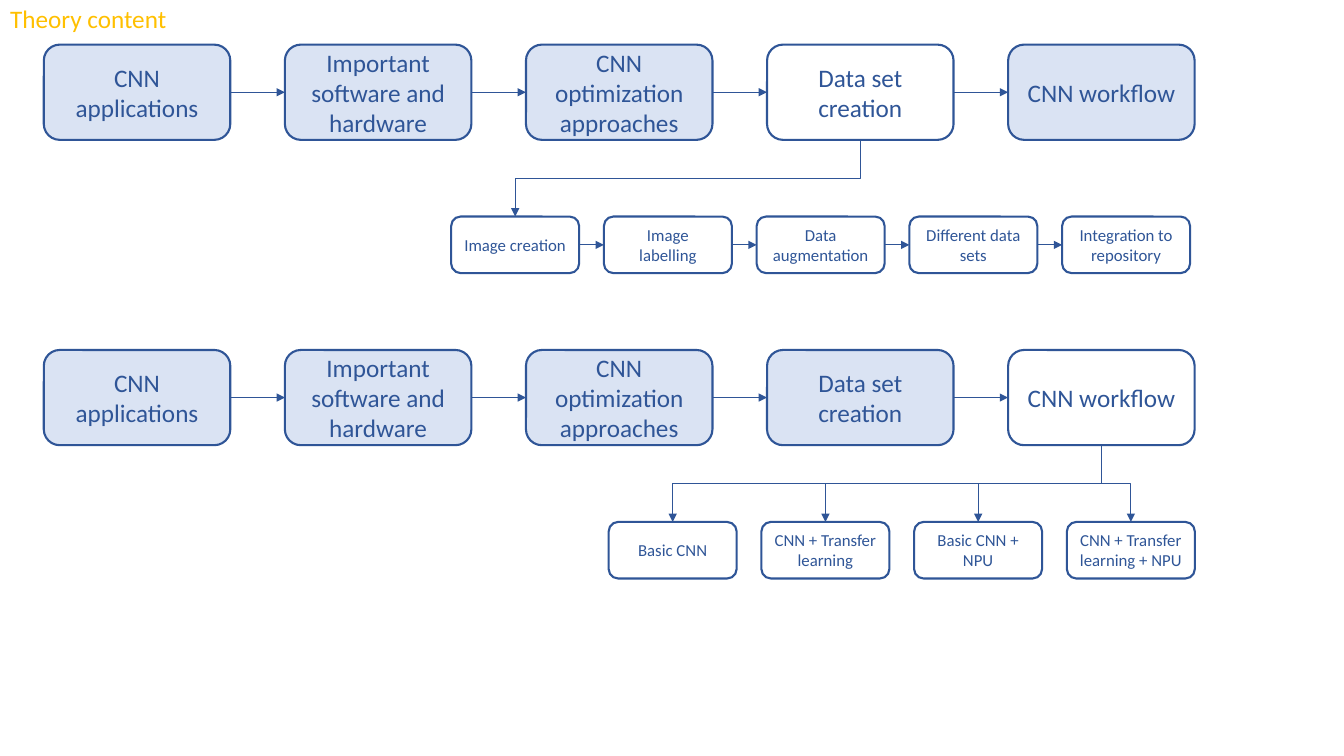
from dataclasses import dataclass
from typing import Optional

from lxml import etree
from pptx import Presentation
from pptx import util as u
from pptx.dml.color import RGBColor
from pptx.enum import shapes, text
from pptx.oxml import ns

Pt = u.Pt


@dataclass(frozen=True)
class Theme:
    font: str = "Calibri"
    blue: str = "2F5597"
    pale: str = "DAE3F3"
    white: str = "FFFFFF"
    gold: str = "FFC000"
    large: float = 18
    small: float = 12
    border: float = 1.5
    arrow: float = 0.75


@dataclass(frozen=True)
class Row:
    """Evenly spaced boxes; all lengths in points."""
    labels: tuple
    left: float
    top: float
    pitch: float
    width: float
    height: float
    size: float
    fills: tuple
    linked: bool = True


THEME = Theme()
TOP, LEFT, BOTTOM, RIGHT = range(4)  # connection sites of a box

TOPICS = ("CNN applications", "Important software and hardware",
          "CNN optimization approaches", "Data set creation", "CNN workflow")
DATA_STEPS = ("Image creation", "Image labelling", "Data augmentation",
              "Different data sets", "Integration to repository")
WORKFLOWS = ("Basic CNN", "CNN + Transfer learning", "Basic CNN + NPU",
             "CNN + Transfer learning + NPU")


def topic_row(top: float, current: int, current_fill: Optional[str]) -> Row:
    fills = tuple(current_fill if i == current else THEME.pale
                  for i in range(len(TOPICS)))
    return Row(TOPICS, 31.3, top, 172.2, 133.2, 68, THEME.large, fills)


def step_row(labels: tuple, left: float, top: float, linked: bool) -> Row:
    return Row(labels, left, top, 109.1, 91.4, 40.4, THEME.small,
               (None,) * len(labels), linked)


def format_text(frame, words: str, size: float, color: str, align, frame_format: dict) -> None:
    for name, value in frame_format.items():
        setattr(frame, name, value)
    paragraph = frame.paragraphs[0]
    paragraph.alignment = align
    run = paragraph.add_run()
    run.text = words
    for name, value in {"name": THEME.font, "size": Pt(size)}.items():
        setattr(run.font, name, value)
    run.font.color.rgb = RGBColor.from_string(color)


def add_box(slide, label: str, row: Row, index: int):
    box = slide.shapes.add_shape(
        shapes.MSO_SHAPE.ROUNDED_RECTANGLE, Pt(row.left + index * row.pitch),
        Pt(row.top), Pt(row.width), Pt(row.height))
    box.shadow.inherit = False
    if row.fills[index]:
        box.fill.solid()
        box.fill.fore_color.rgb = RGBColor.from_string(row.fills[index])
    else:
        box.fill.background()
    box.line.color.rgb = RGBColor.from_string(THEME.blue)
    box.line.width = Pt(THEME.border)
    format_text(box.text_frame, label, row.size, THEME.blue, text.PP_ALIGN.CENTER,
                {"word_wrap": True, "vertical_anchor": text.MSO_ANCHOR.MIDDLE})
    return box


def add_arrow(slide, kind, source, source_site: int, target, target_site: int):
    arrow = slide.shapes.add_connector(kind, 0, 0, 0, 0)
    arrow.begin_connect(source, source_site)
    arrow.end_connect(target, target_site)
    arrow.line.color.rgb = RGBColor.from_string(THEME.blue)
    arrow.line.width = Pt(THEME.arrow)
    properties = arrow._element.spPr
    head = etree.SubElement(properties.find(ns.qn("a:ln")), ns.qn("a:tailEnd"))
    head.set("type", "triangle")
    etree.SubElement(properties, ns.qn("a:effectLst"))
    return arrow


def add_branch(slide, parent, child) -> None:
    """Elbow that leaves the parent downwards and enters the child from above."""
    branch = add_arrow(slide, shapes.MSO_CONNECTOR.ELBOW, parent, BOTTOM, child, TOP)
    start_x, start_y = parent.left + parent.width // 2, parent.top + parent.height
    end_x, end_y = child.left + child.width // 2, child.top
    drop, shift = end_y - start_y, abs(end_x - start_x)
    # The frame is turned a quarter, so its width is the drop
    frame = {"left": (start_x + end_x - drop) // 2,
             "top": (start_y + end_y - shift) // 2,
             "width": drop, "height": shift}
    for name, value in frame.items():
        setattr(branch, name, value)
    transform = branch._element.spPr.find(ns.qn("a:xfrm"))
    for flip in ("flipH", "flipV"):
        transform.attrib.pop(flip, None)
    if end_x > start_x:
        transform.set("rot", "16200000")
        transform.set("flipH", "1")
    else:
        transform.set("rot", "5400000")


def draw_row(slide, row: Row) -> list:
    boxes = [add_box(slide, label, row, i) for i, label in enumerate(row.labels)]
    if row.linked:
        for before, after in zip(boxes, boxes[1:]):
            add_arrow(slide, shapes.MSO_CONNECTOR.STRAIGHT, before, RIGHT, after, LEFT)
    return boxes


def add_title(slide) -> None:
    heading = slide.shapes.title
    frame = {"left": 0, "top": -1.4, "width": 127.4, "height": 29}
    for name, value in frame.items():
        setattr(heading, name, Pt(value))
    format_text(heading.text_frame, "Theory content", THEME.large, THEME.gold,
                text.PP_ALIGN.LEFT,
                {"word_wrap": False, "vertical_anchor": text.MSO_ANCHOR.TOP,
                 "auto_size": text.MSO_AUTO_SIZE.SHAPE_TO_FIT_TEXT})


def main() -> None:
    deck = Presentation()
    deck.slide_width, deck.slide_height = Pt(960), Pt(540)
    slide = deck.slides.add_slide(deck.slide_layouts[5])
    add_title(slide)

    # Data set creation and its steps
    topics = draw_row(slide, topic_row(31.9, 3, None))
    steps = draw_row(slide, step_row(DATA_STEPS, 322.3, 154.7, True))
    add_branch(slide, topics[3], steps[0])

    # CNN workflow and its variants
    topics = draw_row(slide, topic_row(250, 4, THEME.white))
    variants = draw_row(slide, step_row(WORKFLOWS, 434.8, 372.8, False))
    for variant in variants:
        add_branch(slide, topics[4], variant)

    deck.save("out.pptx")


if __name__ == "__main__":
    main()
